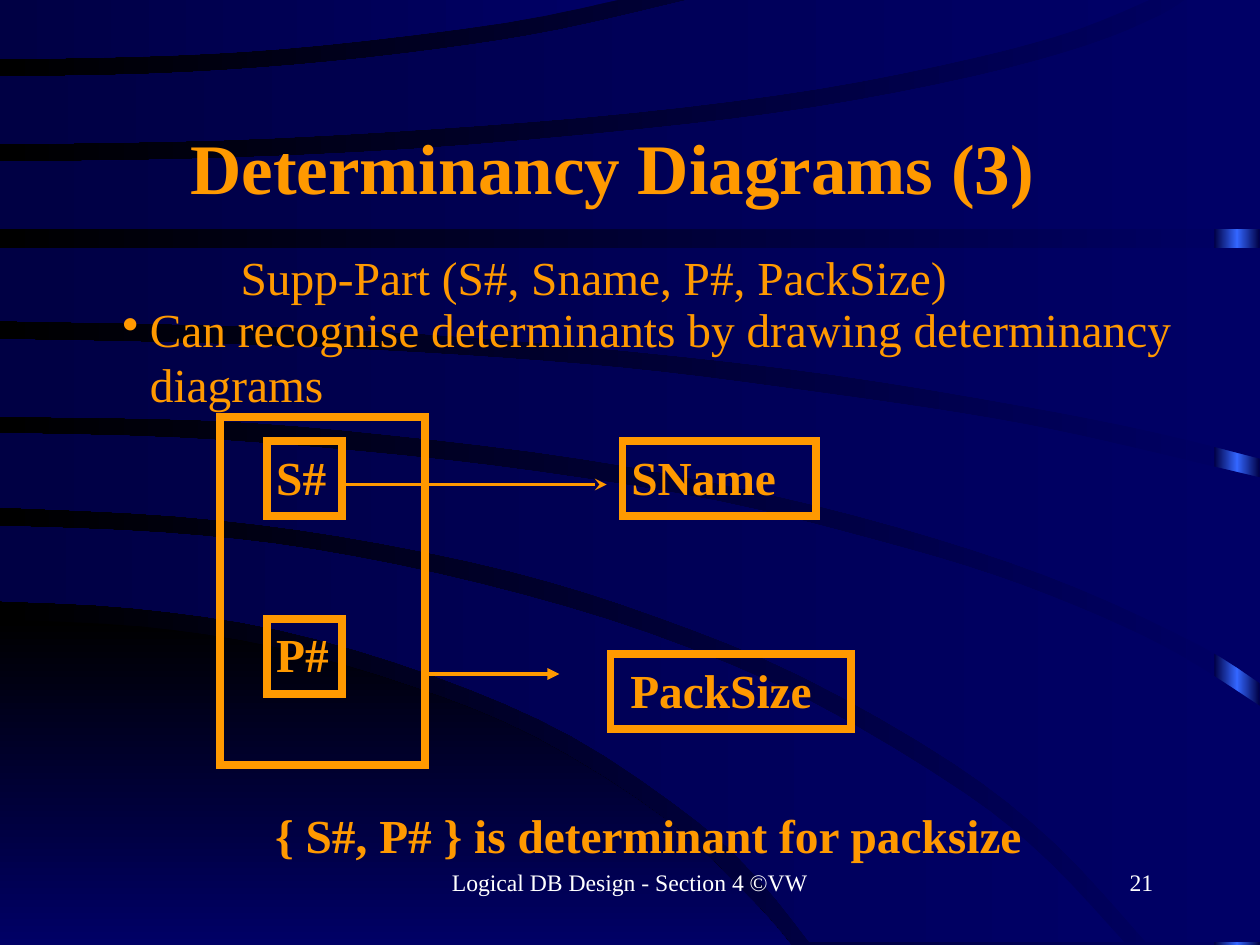
from copy import deepcopy
from dataclasses import dataclass

from lxml import etree
from pptx import Presentation
from pptx.dml.color import RGBColor
from pptx.enum import shapes, text
from pptx.oxml import ns
from pptx.util import Pt


@dataclass(frozen=True)
class Theme:
    """Colours, font and type sizes."""
    accent: str = "FF9900"
    footer: str = "FFFFFF"
    black: str = "000000"
    navy: str = "000066"
    dusk: str = "000044"
    glow: str = "3366FF"
    font: str = "Times New Roman"
    title_size: float = 36
    body_size: float = 24
    footer_size: float = 12
    frame_width: float = 4
    arrow_width: float = 2


THEME = Theme()
WIDTH, HEIGHT = 638.64, 478.8
EDGE, TOP = 639, -1.5
STRIP = (615.5, 0, 23, HEIGHT)

# Each outline: upper edge, lower edge (both left to right), extra right corners
CORNER = ([(0, 314), (71, 317.5), (139, 328), (209, 348), (272, 374), (337, 415),
           (381, 456), (401, HEIGHT)], [(0, HEIGHT), (400, HEIGHT)], [])
BANDS = [
    ([(0, 266.5), (83, 270), (159, 278.5), (244, 296), (329, 321), (411, 355.5),
      (489, 402), (532, 437), (570, 477.5)],
     [(0, 304.5), (67, 308), (141, 319), (219, 342), (290, 373), (353.5, 416),
      (386, 447), (410.5, 477.5)], []),
    ([(0, 219.5), (92, 222), (185, 229), (272, 239), (364, 254), (443, 273.5),
      (504, 291.5), (558, 312.5), (599, 332.5), (EDGE, 358)],
     [(0, 257), (89, 261.5), (171, 271.5), (259, 289.5), (333, 312.5), (406, 342.5),
      (483, 386.5), (535, 427.5), (581, 477.5)], [(EDGE, 477.5)]),
    ([(0, 172), (79, 173.5), (169, 176.5), (256, 181.5), (335, 188.5), (423, 200),
      (491, 210), (549, 221), (EDGE, 242)],
     [(0, 211), (107, 213), (194, 220), (295, 232.5), (390, 250.5), (475, 273),
      (545, 297.5), (608, 327), (EDGE, 346.5)], []),
    ([(0, 125.5), (EDGE, 125.5)],
     [(0, 162.5), (119, 165), (212, 169), (320, 178), (423, 190), (520, 206),
      (585, 219), (EDGE, 232.5)], []),
    ([(0, 82), (101, 80.5), (210, 75.5), (325, 65.5), (412, 54.5), (492.5, 39),
      (551, 23), (587.5, 8), (602.5, TOP)], [(0, 116), (EDGE, 116)], [(EDGE, TOP)]),
    ([(0, 39), (77, 37.5), (149, 33), (222, 25), (284, 15), (355, TOP)],
     [(0, 73), (113, 71), (217, 65.5), (322, 57), (415, 45), (493, 29.5),
      (546, 15), (586, TOP)], []),
    ([(0, TOP), (320, TOP)],
     [(0, 30), (88, 28), (162, 23), (256, 11.5), (320, TOP)], []),
]

TITLE = ("Determinancy Diagrams (3)", (66, 55.5, 489, 61))
BODY_BOX = (57, 132, 557, 79)
RELATION = "Supp-Part (S#, Sname, P#, PackSize)"
BULLET = "Can recognise determinants by drawing determinancy diagrams"
CONCLUSION = ("{ S#, P# } is determinant for packsize", (134.5, 407.5, 410, 32))
FOOTERS = [
    ("Logical DB Design - Section 4 ©VW", (218, 436.5, 202.5, 32), text.PP_ALIGN.CENTER),
    ("21", (458, 436.5, 133, 32), text.PP_ALIGN.RIGHT),
]
COMPOSITE_KEY = (111.5, 211.5, 104, 176)
ATTRIBUTES = [  # label, box, left inset
    ("S#", (135.5, 223.5, 38, 38), 4.5),
    ("P#", (135.5, 313.5, 38, 38), 4.5),
    ("SName", (315.5, 223.5, 98, 38), 4.5),
    ("PackSize", (309.5, 331.5, 122, 38), 10),
]
ARROWS = [(175.5, 307.5, 245.5, "stealth"), (217.5, 283.5, 341.5, "triangle")]


def smooth(points, steps=4):
    """Return points along a Catmull-Rom curve through the given points."""
    padded = [points[0], *points, points[-1]]
    curve = [points[0]]
    for a, b, c, d in zip(padded, padded[1:], padded[2:], padded[3:]):
        for step in range(1, steps + 1):
            t = step / steps
            curve.append(tuple(
                (2 * q + (r - p) * t + (2 * p - 5 * q + 4 * r - s) * t ** 2
                 + (3 * q - p - 3 * r + s) * t ** 3) / 2
                for p, q, r, s in zip(a, b, c, d)))
    return curve


def paint_gradient(fill, colours, angle):
    """Colour the stops of a linear gradient."""
    fill.gradient_angle = angle
    for stop, colour in zip(fill.gradient_stops, colours):
        stop.color.rgb = RGBColor.from_string(colour)


def add_band(slide, outline, colours, angle):
    """Draw one curved background area."""
    upper, lower, corners = outline
    points = [(Pt(x), Pt(y)) for x, y in smooth(upper) + corners + smooth(lower)[::-1]]
    builder = slide.shapes.build_freeform(*points[0])
    builder.add_line_segments(points[1:])
    shape = builder.convert_to_shape()
    shape.shadow.inherit = False
    shape.line.fill.background()
    shape.fill.gradient()
    paint_gradient(shape.fill, colours, angle)


def add_rectangle(slide, box):
    """Add a rectangle without shadow."""
    shape = slide.shapes.add_shape(shapes.MSO_SHAPE.RECTANGLE, *map(Pt, box))
    shape.shadow.inherit = False
    return shape


def add_background(slide):
    """Paint the backdrop, the glowing strip and the curved bands."""
    slide.background.fill.gradient()
    paint_gradient(slide.background.fill, (THEME.navy, THEME.black), 180)
    strip = add_rectangle(slide, STRIP)
    strip.line.fill.background()
    strip.fill.gradient()
    stops = strip._element.xpath(".//a:gsLst")[0]
    middle = deepcopy(stops[0])
    middle.set("pos", "50000")
    stops.insert(1, middle)
    paint_gradient(strip.fill, (THEME.dusk, THEME.glow, THEME.dusk), 180)
    add_band(slide, CORNER, (THEME.black, THEME.navy), 270)
    for band in BANDS:
        add_band(slide, band, (THEME.navy, THEME.dusk), 180)


def set_line(shape, width):
    """Give a shape or connector an accent line and return its XML."""
    shape.line.color.rgb = RGBColor.from_string(THEME.accent)
    shape.line.width = Pt(width)
    return shape.line._get_or_add_ln()


def add_frame(slide, box):
    """Add an unfilled accent frame with sharp corners."""
    shape = add_rectangle(slide, box)
    shape.fill.background()
    line = set_line(shape, THEME.frame_width)
    etree.SubElement(line, ns.qn("a:miter"), lim="800000")
    return shape


def add_arrow(slide, start, end, y, head):
    """Add a horizontal arrow."""
    arrow = slide.shapes.add_connector(
        shapes.MSO_CONNECTOR.STRAIGHT, Pt(start), Pt(y), Pt(end), Pt(y))
    line = set_line(arrow, THEME.arrow_width)
    etree.SubElement(line, ns.qn("a:tailEnd"), type=head)
    etree.SubElement(arrow._element.spPr, ns.qn("a:effectLst"))


def set_frame(shape, left, top, right, anchor=text.MSO_ANCHOR.TOP):
    """Set wrapping, insets and anchor, and return the text frame."""
    frame = shape.text_frame
    frame.word_wrap = True
    frame.margin_left, frame.margin_right = Pt(left), Pt(right)
    frame.margin_top = frame.margin_bottom = Pt(top)
    frame.vertical_anchor = anchor
    return frame


def write(paragraph, words, size=THEME.body_size, bold=False, colour=THEME.accent,
          align=text.PP_ALIGN.LEFT, spacing=0.97):
    """Write one run into a paragraph."""
    paragraph.alignment = align
    paragraph.line_spacing = spacing
    run = paragraph.add_run()
    run.text = words
    run.font.name, run.font.size, run.font.bold = THEME.font, Pt(size), bold
    run.font.color.rgb = RGBColor.from_string(colour)


def indent(paragraph, margin, first=0):
    """Set left margin and first-line indent, and return the properties."""
    properties = paragraph._p.get_or_add_pPr()
    properties.set("marL", str(Pt(margin)))
    properties.set("indent", str(Pt(first)))
    return properties


def add_text(slide, words, box, insets=(5, 2.5, 5), anchor=text.MSO_ANCHOR.TOP, **style):
    """Add a one-paragraph text box."""
    shape = slide.shapes.add_textbox(*map(Pt, box))
    write(set_frame(shape, *insets, anchor).paragraphs[0], words, **style)


def add_body(slide):
    """Add the relation and the bullet below it."""
    frame = set_frame(slide.shapes.add_textbox(*map(Pt, BODY_BOX)), 5, 2.5, 5)
    relation, bullet = frame.paragraphs[0], frame.add_paragraph()
    write(relation, RELATION, spacing=0.67)
    indent(relation, 60)
    write(bullet, BULLET)
    etree.SubElement(indent(bullet, 14, -14), ns.qn("a:buChar"), char="•")


def main():
    """Build and save the slide."""
    presentation = Presentation()
    presentation.slide_width, presentation.slide_height = Pt(WIDTH), Pt(HEIGHT)
    slide = presentation.slides.add_slide(presentation.slide_layouts[6])
    add_background(slide)
    add_text(slide, *TITLE, insets=(6.5, 3.5, 6.5), anchor=text.MSO_ANCHOR.MIDDLE,
             size=THEME.title_size, bold=True, align=text.PP_ALIGN.CENTER)
    add_body(slide)
    add_frame(slide, COMPOSITE_KEY)
    for arrow in ARROWS:
        add_arrow(slide, *arrow)
    for label, box, inset in ATTRIBUTES:
        frame = set_frame(add_frame(slide, box), inset, 2, 0, text.MSO_ANCHOR.MIDDLE)
        write(frame.paragraphs[0], label, bold=True)
    add_text(slide, *CONCLUSION, bold=True)
    for words, box, align in FOOTERS:
        add_text(slide, words, box, insets=(6.5, 3, 6.5), size=THEME.footer_size,
                 colour=THEME.footer, align=align, spacing=1.0)
    presentation.save("out.pptx")


main()
